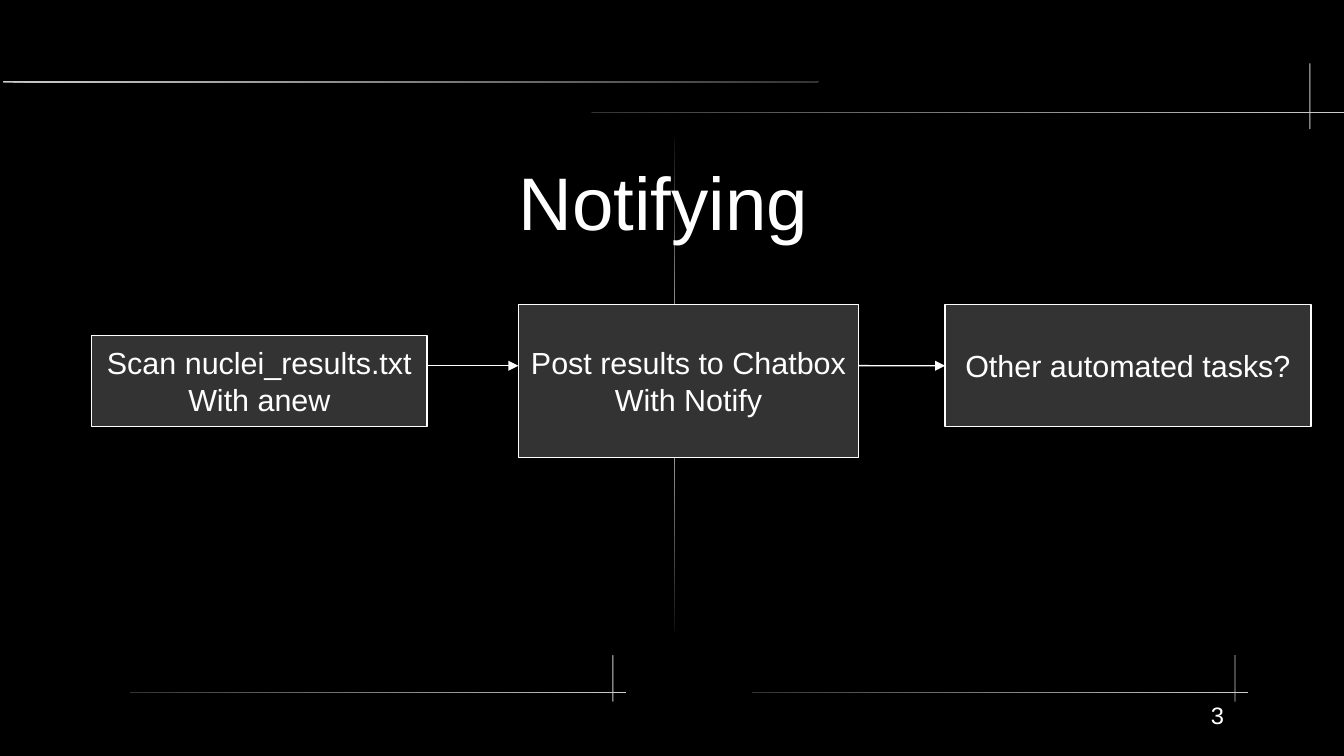
from copy import deepcopy

from lxml import etree
from pptx import Presentation
from pptx import util as u
from pptx.dml.color import RGBColor
from pptx.enum import shapes, text
from pptx.oxml import ns

COLORS = {
    "background": "000000",
    "text": "FFFFFF",
    "box": "333333",
    "dim": "333333",
    "bright": "CCCCCC",
    "faint": "111111",
}
FONT = "Arial"
LINE_WIDTH = u.Pt(0.85)


def rgb(name):
    return RGBColor.from_string(COLORS[name])


def style_text(tf, size, align):
    for p in tf.paragraphs:
        p.alignment = align
        for r in p.runs:
            r.font.name = FONT
            r.font.size = u.Pt(size)
            r.font.color.rgb = rgb("text")


def clear_margins(tf):
    tf.margin_left = tf.margin_top = tf.margin_right = tf.margin_bottom = 0


def add_rule(s, box, names, angle=0):
    sp = s.shapes.add_shape(shapes.MSO_SHAPE.ROUNDED_RECTANGLE, *map(u.Cm, box))
    sp.adjustments[0] = 0.5
    sp.shadow.inherit = False
    sp.line.fill.background()
    if len(names) == 1:
        sp.fill.solid()
        sp.fill.fore_color.rgb = rgb(names[0])
        return
    sp.fill.gradient()
    sp.fill.gradient_angle = angle
    stops = sp._element.spPr.find(".//" + ns.qn("a:gsLst"))
    while len(stops) < len(names):
        stops.append(deepcopy(stops[-1]))
    for i, (stop, name) in enumerate(zip(sp.fill.gradient_stops, names)):
        stop.color.rgb = rgb(name)
        stop.position = i / (len(names) - 1)


def add_corner_rule(s, left, top, width, tick_left, tick_top, tick_height):
    add_rule(s, (left, top, width, 0.02), ("dim", "bright"))
    add_rule(s, (tick_left, tick_top, 0.02, tick_height), ("bright",))


def add_ornaments(s):
    add_rule(s, (0.06, 1.68, 17, 0.04), ("bright", "dim"))
    add_corner_rule(s, 12.32, 2.33, 15.68, 27.28, 1.32, 1.37)
    for left in (15.67, 2.71):
        add_corner_rule(s, left, 14.42, 10.34, left + 10.05, 13.65, 0.97)
    add_rule(s, (14.05, 2.88, 0.02, 10.28), ("faint", "bright", "faint"), 90)


def add_title(s, box, words):
    sp = s.shapes.title
    s.shapes._spTree.append(sp._element)
    sp.left, sp.top, sp.width, sp.height = map(u.Cm, box)
    tf = sp.text_frame
    tf.text = words
    clear_margins(tf)
    tf.vertical_anchor = text.MSO_ANCHOR.MIDDLE
    tf.auto_size = text.MSO_AUTO_SIZE.SHAPE_TO_FIT_TEXT
    style_text(tf, 44, text.PP_ALIGN.LEFT)


def add_step(s, box, words):
    sp = s.shapes.add_shape(shapes.MSO_SHAPE.RECTANGLE, *map(u.Cm, box))
    sp.shadow.inherit = False
    sp.fill.solid()
    sp.fill.fore_color.rgb = rgb("box")
    sp.line.color.rgb = rgb("text")
    sp.line.width = LINE_WIDTH
    tf = sp.text_frame
    tf.text = words
    tf.word_wrap = False
    tf.vertical_anchor = text.MSO_ANCHOR.MIDDLE
    style_text(tf, 18, text.PP_ALIGN.CENTER)
    return sp


def add_arrow(s, start, end, y):
    arrow = s.shapes.add_connector(
        shapes.MSO_CONNECTOR.STRAIGHT, start.left + start.width, y, end.left, y
    )
    arrow.line.color.rgb = rgb("text")
    arrow.line.width = LINE_WIDTH
    etree.SubElement(arrow.line._get_or_add_ln(), ns.qn("a:tailEnd"), type="triangle")
    etree.SubElement(arrow._element.spPr, ns.qn("a:effectLst"))
    return arrow


def add_flow(s, left, top):
    scan = add_step(s, (left, top + 0.64, 6.99, 1.9), "Scan nuclei_results.txt\nWith anew")
    post = add_step(s, (left + 8.89, top, 7.09, 3.18), "Post results to Chatbox\nWith Notify")
    other = add_step(s, (left + 17.78, top, 7.62, 2.54), "Other automated tasks?")
    y = u.Cm(top + 1.27)
    add_arrow(s, scan, post, y)
    add_arrow(s, post, other, y).end_connect(other, 1)


def add_page_number(s, box, number):
    tf = s.shapes.add_textbox(*map(u.Cm, box)).text_frame
    tf.text = number
    tf.word_wrap = True
    clear_margins(tf)
    style_text(tf, 14, text.PP_ALIGN.RIGHT)


def main():
    prs = Presentation()
    prs.slide_width, prs.slide_height = u.Cm(28), u.Cm(15.75)
    s = prs.slides.add_slide(prs.slide_layouts[5])
    s.background.fill.solid()
    s.background.fill.fore_color.rgb = rgb("background")
    add_ornaments(s)
    add_flow(s, 1.91, 6.35)
    add_title(s, (10.8, 3.28, 8.25, 1.8), "Notifying")
    add_page_number(s, (21, 14.6, 4.5, 1.15), "3")
    prs.save("out.pptx")


if __name__ == "__main__":
    main()
